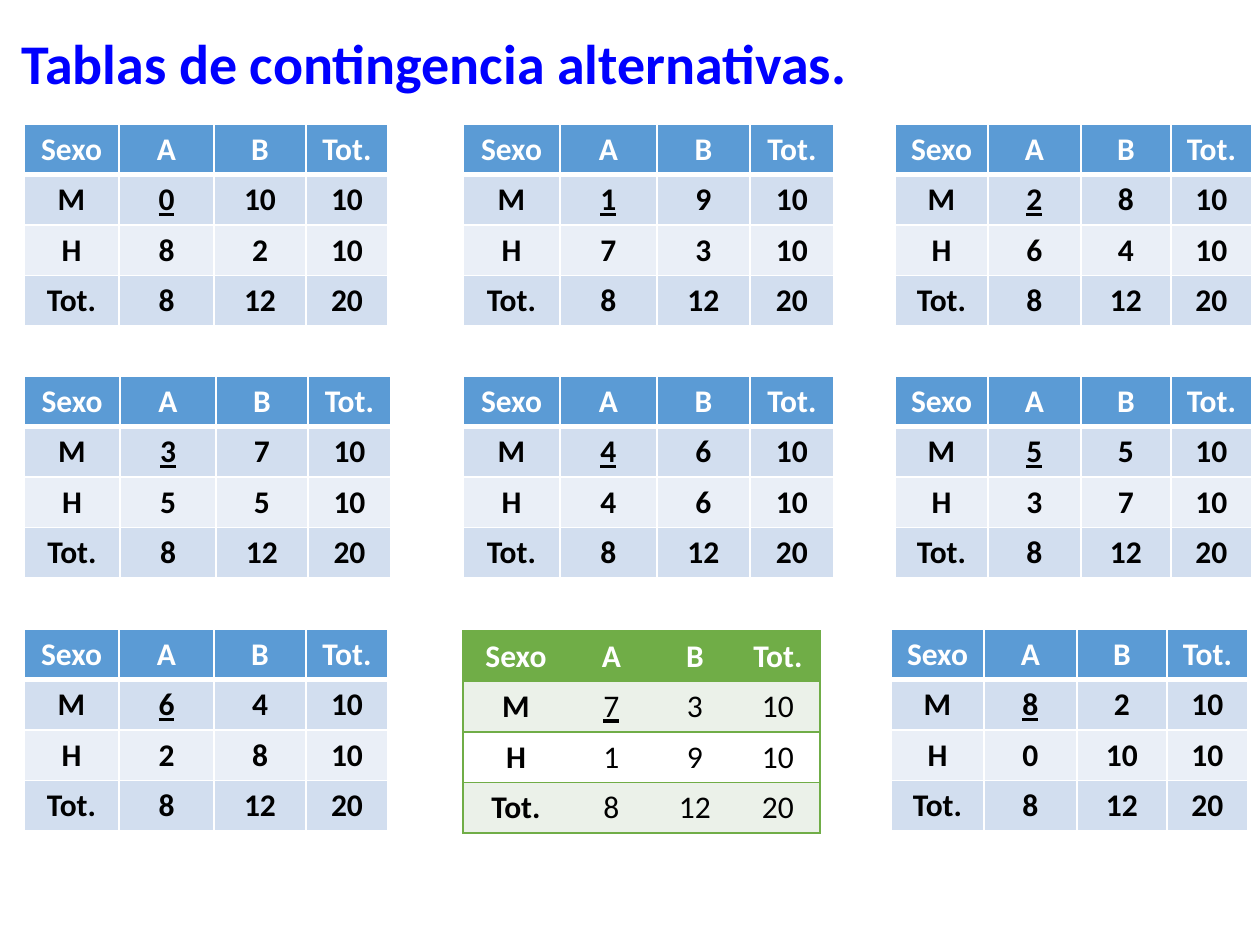
import pptx
import pptx.util
import pptx.dml.color
import pptx.enum.text
import pptx.oxml.ns
from dataclasses import dataclass
from lxml import etree

ALIGN = pptx.enum.text.PP_ALIGN
RGB = pptx.dml.color.RGBColor.from_string


@dataclass(frozen=True)
class Palette:
    """Fills and lines of one table look."""
    head: str
    odd: str
    even: str
    line: str
    head_rule: int      # points under the header row
    inner: bool         # vertical lines between columns
    bold_values: bool


@dataclass(frozen=True)
class Theme:
    font: str = "Calibri"
    title_size: int = 32
    cell_size: int = 18
    title: str = "0000FF"
    dark: str = "000000"
    light: str = "FFFFFF"
    blue: Palette = Palette("5B9BD5", "D2DEEF", "EAEFF7", "FFFFFF", 3, True, True)
    green: Palette = Palette("70AD47", "EBF1E9", "FFFFFF", "70AD47", 1, False, False)
    no_grid: str = "{2D5ABB26-0587-4C30-8999-92F81FD0307C}"


def px(n):
    return pptx.util.Emu(round(n * 914400 / 126))


class Deck:
    def __init__(self, theme):
        self.theme = theme
        self.prs = pptx.Presentation()
        self.prs.slide_width, self.prs.slide_height = px(1260), px(945)
        self.s = self.prs.slides.add_slide(self.prs.slide_layouts[5])

    def add_text(self, p, text, color, **formats):
        """Put one run into a paragraph and format it."""
        r = p.add_run()
        r.text = text
        for name, value in {"name": self.theme.font, **formats}.items():
            setattr(r.font, name, value)
        r.font.color.rgb = RGB(color)

    def title(self, text, x, y, w, h):
        sp = self.s.shapes.title
        sp.left, sp.top, sp.width, sp.height = map(px, (x, y, w, h))
        tf = sp.text_frame
        frame = {"word_wrap": True,
                 "vertical_anchor": pptx.enum.text.MSO_ANCHOR.MIDDLE,
                 "auto_size": pptx.enum.text.MSO_AUTO_SIZE.SHAPE_TO_FIT_TEXT}
        for name, value in frame.items():
            setattr(tf, name, value)
        p = tf.paragraphs[0]
        p.alignment, p.line_spacing = ALIGN.LEFT, 0.9
        self.add_text(p, text, self.theme.title, bold=True,
                      size=pptx.util.Pt(self.theme.title_size))

    def borders(self, cell, color, widths):
        """Draw the cell's sides; a width of 0 means no line."""
        tc_pr = cell._tc.get_or_add_tcPr()
        qn = pptx.oxml.ns.qn
        for side, width in widths.items():
            ln = etree.SubElement(tc_pr, qn(f"a:ln{side}"), w=str(pptx.util.Pt(width)))
            if width:
                fill = etree.SubElement(ln, qn("a:solidFill"))
                etree.SubElement(fill, qn("a:srgbClr"), val=color)
            else:
                etree.SubElement(ln, qn("a:noFill"))

    def table(self, rows, x, y, col_widths, row_height, look):
        n, m = len(rows), len(col_widths)
        sp = self.s.shapes.add_table(n, m, px(x), px(y), px(sum(col_widths)),
                                     px(row_height * n))
        table = sp.table
        table._tbl.tblPr.find(pptx.oxml.ns.qn("a:tableStyleId")).text = self.theme.no_grid
        for j, width in enumerate(col_widths):
            table.columns[j].width = px(width)
        for i, row in enumerate(rows):
            table.rows[i].height = px(row_height)
            for j, value in enumerate(row):
                cell = table.cell(i, j)
                self.borders(cell, look.line, {
                    "L": int(look.inner or j == 0),
                    "R": int(look.inner or j == m - 1),
                    "T": look.head_rule if i == 1 else 1,
                    "B": look.head_rule if i == 0 else 1})
                cell.fill.solid()
                fill = look.head if i == 0 else look.odd if i % 2 else look.even
                cell.fill.fore_color.rgb = RGB(fill)
                p = cell.text_frame.paragraphs[0]
                p.alignment = ALIGN.CENTER
                self.add_text(p, str(value), self.theme.dark if i else self.theme.light,
                              size=pptx.util.Pt(self.theme.cell_size),
                              bold=look.bold_values or i == 0 or j == 0,
                              underline=(i, j) == (1, 1))


def contingency(k):
    """2 x 2 table with fixed margins and k women in group A."""
    women, men = (k, 10 - k), (8 - k, 2 + k)
    totals = [a + b for a, b in zip(women, men)]
    body = [(name, *pair, sum(pair))
            for name, pair in (("M", women), ("H", men), ("Tot.", totals))]
    return [("Sexo", "A", "B", "Tot."), *body]


def main():
    theme = Theme()
    deck = Deck(theme)

    # Title
    deck.title("Tablas de contingencia alternativas.", 9, 29, 1251, 74)

    # Grid of the nine possible tables
    lefts, tops = (24, 463, 895), (124, 376, 629)
    widths = ((95, 95, 92, 82), (97, 97, 93, 84), (93, 93, 90, 81))
    observed = 7
    special = {  # tables set apart from the grid: x, y, column widths
        3: (24, 376, (96, 96, 92, 83)),
        observed: (463, 631, (106, 85, 82, 84)),
        8: (891, 629, widths[2]),
    }
    for k in range(9):
        row, col = divmod(k, 3)
        x, y, cols = special.get(k, (lefts[col], tops[row], widths[col]))
        look = theme.green if k == observed else theme.blue
        deck.table(contingency(k), x, y, cols, 50, look)

    deck.prs.save("out.pptx")


if __name__ == "__main__":
    main()
